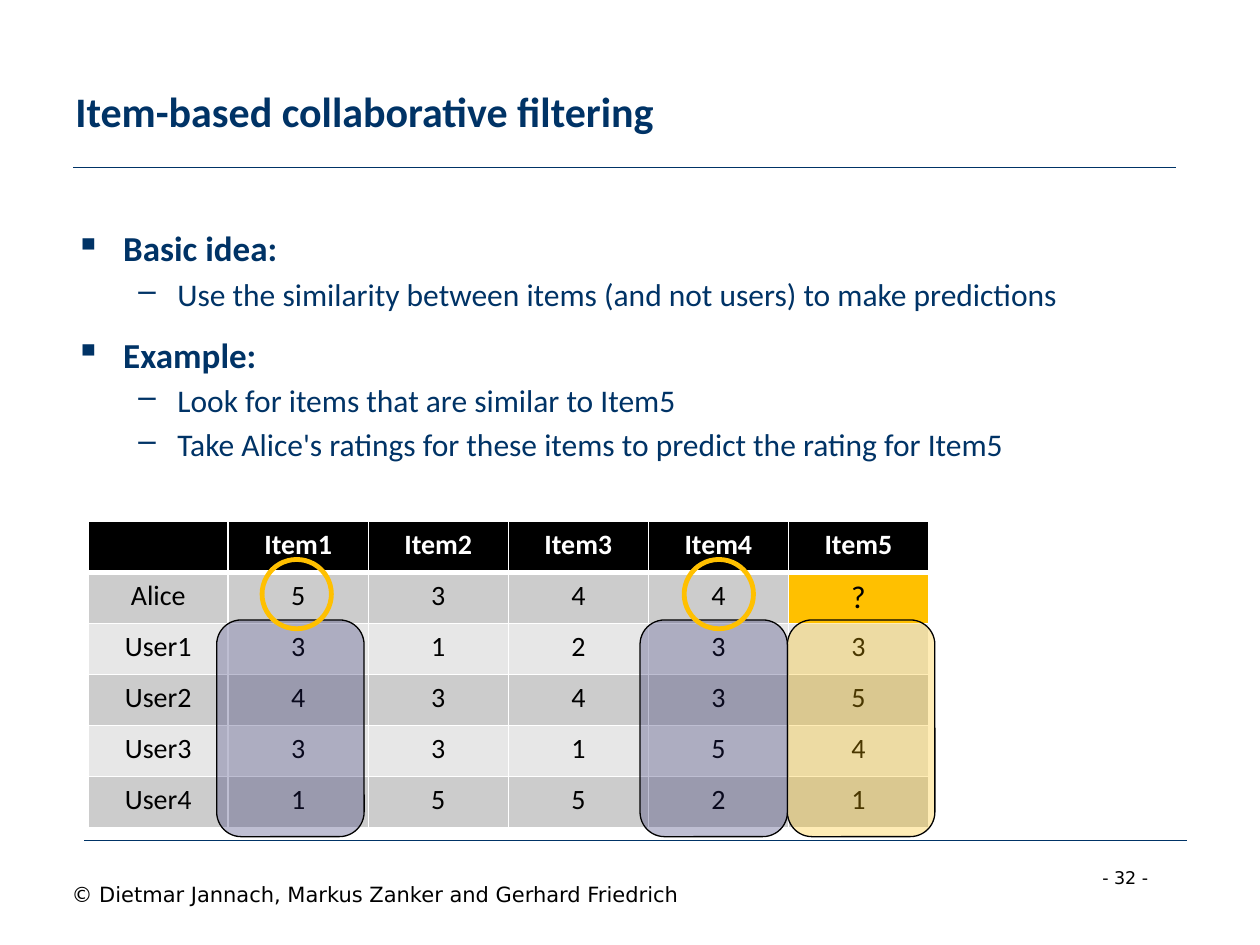
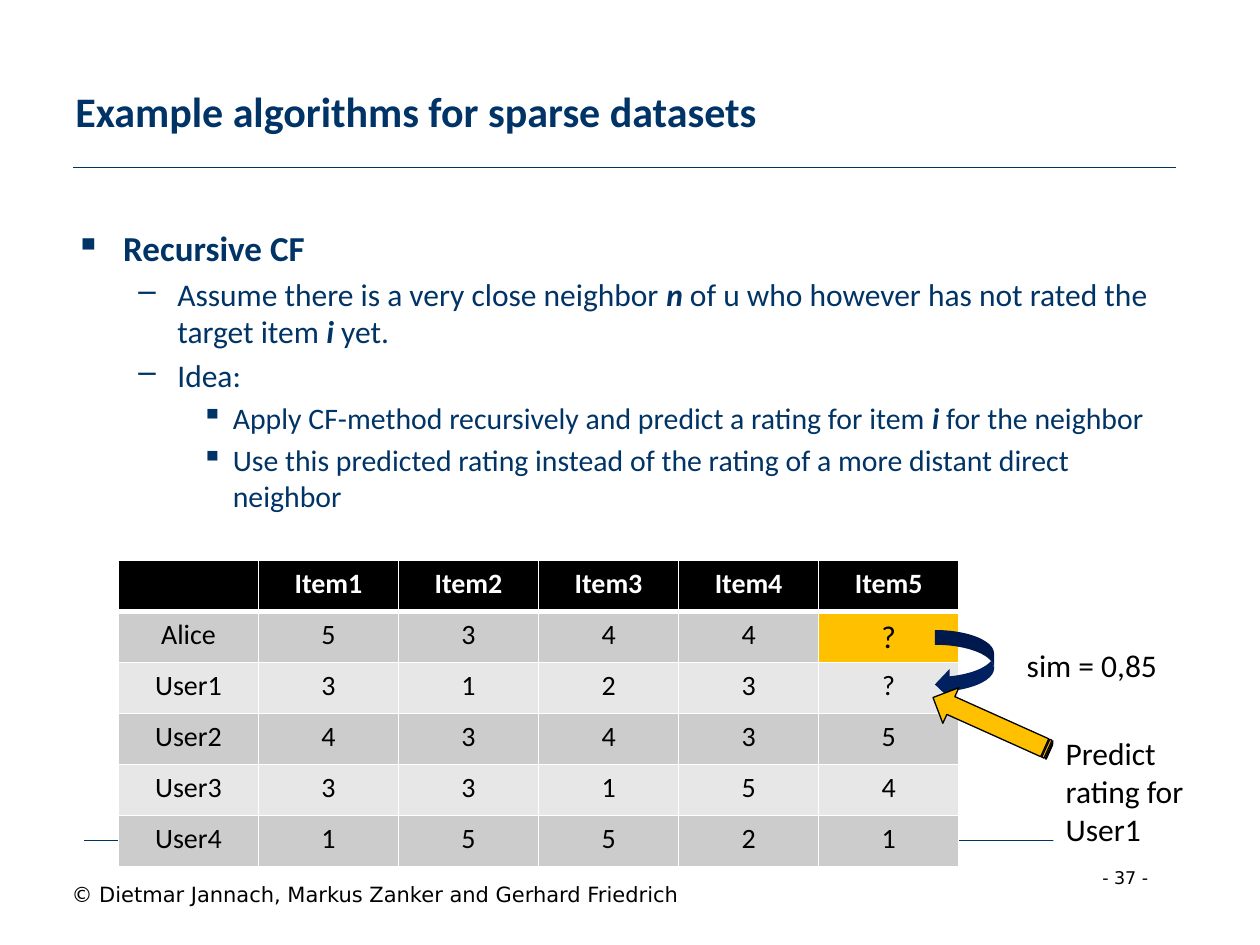
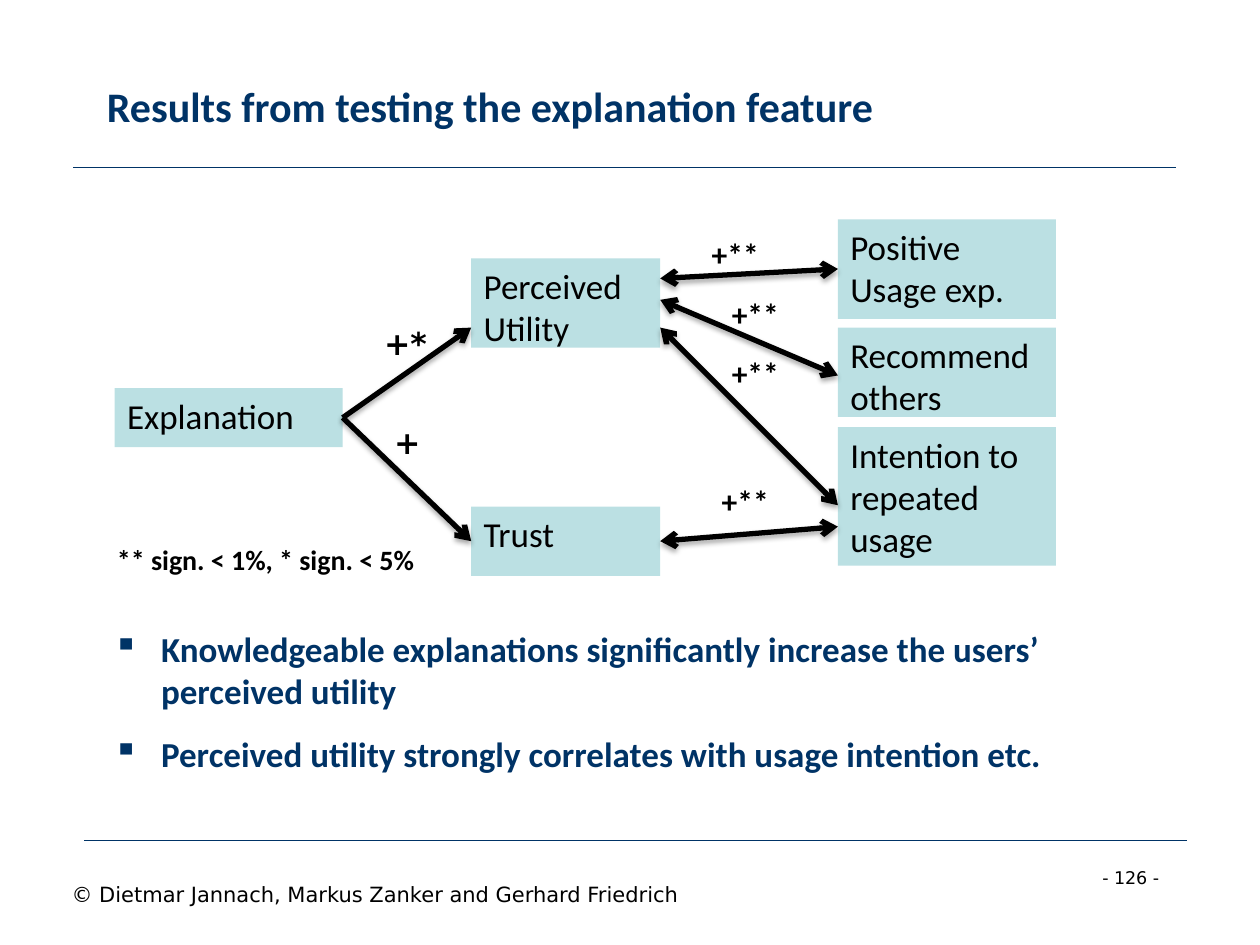
import dataclasses

import pptx
import pptx.dml.color
import pptx.enum.shapes
import pptx.enum.text
import pptx.oxml
import pptx.oxml.ns
import pptx.util

Inches = pptx.util.Inches
Pt = pptx.util.Pt
SHAPE = pptx.enum.shapes.MSO_SHAPE
ANCHOR = pptx.enum.text.MSO_ANCHOR
ALIGN = pptx.enum.text.PP_ALIGN
FIT = pptx.enum.text.MSO_AUTO_SIZE


@dataclasses.dataclass(frozen=True)
class Theme:
    """Colours, fonts and type sizes shared by all slides."""
    navy: str = "003366"
    black: str = "000000"
    white: str = "FFFFFF"
    gold: str = "FFC000"
    violet: str = "222267"
    arrow_blue: str = "002060"
    teal: str = "BBE0E3"
    row_dark: str = "CCCCCC"
    row_light: str = "E7E7E7"
    font: str = "Calibri"
    footer_font: str = "DejaVu Sans"
    title: int = 24
    node: int = 20
    label: int = 18
    cell: int = 16
    footer: int = 12
    page: int = 10


T = Theme()
LEVELS = [
    dict(size=20, bold=True, left=0.38, hang=0.38, before=12, bullet="▪"),
    dict(size=18, bold=False, left=0.81, hang=0.31, before=3.4, bullet="–"),
    dict(size=17, bold=False, left=1.25, hang=0.25, before=3.4, bullet="▪"),
]
CREDIT = "© Dietmar Jannach, Markus Zanker and Gerhard Friedrich"
RATINGS = [
    ["", "Item1", "Item2", "Item3", "Item4", "Item5"],
    ["Alice", "5", "3", "4", "4", "?"],
    ["User1", "3", "1", "2", "3", "3"],
    ["User2", "4", "3", "4", "3", "5"],
    ["User3", "3", "3", "1", "5", "4"],
    ["User4", "1", "5", "5", "2", "1"],
]


def rgb(color):
    """Turn a hex string into a colour."""
    return pptx.dml.color.RGBColor.from_string(color)


def xml(text):
    """Build a drawing element from markup without namespace declaration."""
    tag, rest = text[:-2].partition(" ")[::2] if text.endswith("/>") and text.count("<") == 1 else (None, None)
    if tag:
        return pptx.oxml.parse_xml(f"{tag} {pptx.oxml.ns.nsdecls('a')} {rest}/>")
    head, body = text.split(">", 1)
    return pptx.oxml.parse_xml(f"{head} {pptx.oxml.ns.nsdecls('a')}>{body}")


def assign(obj, values):
    """Set attributes from a dict of format values."""
    for name, value in values.items():
        setattr(obj, name, value)


def inches(box):
    """Convert a box in inches to lengths."""
    return [Inches(v) for v in box]


def shift(box, dx, dy):
    """Return the point at an offset from a box's corner."""
    return box[0] + dx, box[1] + dy


def add_run(p, text, size, color=T.black, font=T.font, **style):
    """Add one formatted run."""
    r = p.add_run()
    r.text = text
    assign(r.font, dict(name=font, size=Pt(size), **style))
    r.font.color.rgb = rgb(color)


def write(tf, text, size, align=ALIGN.LEFT, **style):
    """Fill a text frame with one paragraph per line."""
    for i, line in enumerate(text.split("\n")):
        p = tf.add_paragraph() if i else tf.paragraphs[0]
        p.alignment = align
        add_run(p, line, size, **style)


def add_text(s, box, text, size, frame=None, **style):
    """Add a text box; frame holds text frame settings."""
    tf = s.shapes.add_textbox(*inches(box)).text_frame
    assign(tf, dict(word_wrap=True) | (frame or {}))
    write(tf, text, size, **style)


def add_shape(s, kind, box, fill=None, line=None, width=0.75, alpha=None):
    """Add a preset shape with plain fill and outline."""
    sp = s.shapes.add_shape(kind, *inches(box))
    sp.shadow.inherit = False
    if fill:
        sp.fill.solid()
        sp.fill.fore_color.rgb = rgb(fill)
    else:
        sp.fill.background()
    if alpha:
        color = sp.fill._xPr.find(".//" + pptx.oxml.ns.qn("a:srgbClr"))
        color.append(xml(f'<a:alpha val="{alpha * 1000}"/>'))
    if line:
        sp.line.color.rgb = rgb(line)
        sp.line.width = Pt(width)
    else:
        sp.line.fill.background()
    return sp


def add_line(s, start, end, color, width):
    """Add a straight connector without shadow."""
    c = s.shapes.add_connector(pptx.enum.shapes.MSO_CONNECTOR.STRAIGHT, *inches((*start, *end)))
    c.line.color.rgb = rgb(color)
    c.line.width = Pt(width)
    c._element.spPr.append(xml("<a:effectLst />"))
    return c


def add_arrow(s, start, end, both, begin=None, finish=None):
    """Add a thick shadowed arrow, joined to the given boxes' sides."""
    c = add_line(s, start, end, T.black, 3)
    ln = c.line._get_or_add_ln()
    for tag in ["headEnd", "tailEnd"] if both else ["tailEnd"]:
        ln.append(xml(f'<a:{tag} type="arrow"/>'))
    c._element.spPr[-1].append(xml(
        '<a:outerShdw blurRad="39370" dist="22860" dir="5400000" rotWithShape="0">'
        '<a:srgbClr val="000000"><a:alpha val="35000"/></a:srgbClr></a:outerShdw>'))
    if begin:
        c.begin_connect(begin, 3)
    if finish:
        c.end_connect(finish, 1)


def add_frame(prs, title, page, title_box=(0.5, 0.25, 9, 1.25)):
    """Add a slide with rules, footer, page number and title."""
    s = prs.slides.add_slide(prs.slide_layouts[6])
    for x, y in [(0.58, 1.33), (0.67, 6.67)]:
        add_line(s, (x, y), (x + 8.75, y), T.navy, 0.75)
    add_text(s, (8.65, 6.83, 0.76, 0.27), f"- {page} -", T.page, font=T.footer_font,
             frame=dict(word_wrap=False, auto_size=FIT.SHAPE_TO_FIT_TEXT))
    add_text(s, (0.47, 6.95, 6.34, 0.3), CREDIT, T.footer, font=T.footer_font)
    add_text(s, title_box, title, T.title, color=T.navy, bold=True,
             frame=dict(vertical_anchor=ANCHOR.MIDDLE))
    return s


def add_bullets(s, box, items):
    """Add a bulleted list of (level, text); parts between bars are stressed."""
    tf = s.shapes.add_textbox(*inches(box)).text_frame
    tf.word_wrap = True
    for i, (level, text) in enumerate(items):
        p = tf.add_paragraph() if i else tf.paragraphs[0]
        v = LEVELS[level]
        pPr = p._p.get_or_add_pPr()
        pPr.set("marL", str(Inches(v["left"])))
        pPr.set("indent", str(-Inches(v["hang"])))
        pPr.append(xml(f'<a:buChar char="{v["bullet"]}"/>'))
        p.space_before = Pt(v["before"] if i else 0)
        for j, part in enumerate(text.split("|")):
            stress = j % 2 == 1
            add_run(p, part, v["size"], T.navy, bold=v["bold"] or stress, italic=stress)


def add_borders(cell, row):
    """Draw white cell borders, thick below the header row."""
    thick = {0: "B", 1: "T"}.get(row)
    for side in "LRTB":
        width = Pt(3 if side == thick else 1)
        cell._tc.get_or_add_tcPr().append(xml(
            f'<a:ln{side} w="{width}"><a:solidFill><a:srgbClr val="{T.white}"/>'
            f'</a:solidFill></a:ln{side}>'))


def add_ratings(s, box, rows):
    """Add the rating table with the wanted rating in gold."""
    table = s.shapes.add_table(len(rows), len(rows[0]), *inches(box)).table
    for col in table.columns:
        col.width = Inches(box[2] / len(rows[0]))
    for i, row in enumerate(rows):
        table.rows[i].height = Inches(box[3] / len(rows))
        for j, text in enumerate(row):
            cell = table.cell(i, j)
            wanted = (i, j) == (1, 5)
            add_borders(cell, i)
            fill = T.black if i == 0 else T.gold if wanted else T.row_dark if i % 2 else T.row_light
            cell.fill.solid()
            cell.fill.fore_color.rgb = rgb(fill)
            write(cell.text_frame, text, T.label if wanted else T.cell, ALIGN.CENTER,
                  color=T.black if i else T.white, bold=i == 0)


def mark_similar_items(s, box):
    """Mark the compared columns and Alice's ratings on the table at box."""
    for dx, color in [(5.55, T.gold), (1.02, T.violet), (4.38, T.violet)]:
        add_shape(s, SHAPE.ROUNDED_RECTANGLE, (*shift(box, dx, 0.78), 1.17, 1.72),
                  color, T.black, alpha=29)
    for dx in [1.38, 4.73]:
        add_shape(s, SHAPE.OVAL, (*shift(box, dx, 0.3), 0.55, 0.55), None, T.gold, 2.75)


def mark_prediction(s, box):
    """Annotate the neighbour's missing rating beside the table at box."""
    add_shape(s, SHAPE.CURVED_LEFT_ARROW, (*shift(box, 6.48, 0.55), 0.47, 0.55), T.arrow_blue)
    add_text(s, (*shift(box, 7.11, 0.63), 1.25, 0.4), "sim = 0,85", T.label,
             frame=dict(word_wrap=False, auto_size=FIT.SHAPE_TO_FIT_TEXT))
    arrow = add_shape(s, SHAPE.STRIPED_RIGHT_ARROW, (*shift(box, 6.42, 1.14), 1.02, 0.31),
                      T.gold, T.black)
    arrow.rotation = 204.2
    add_node(s, (*shift(box, 7.42, 1.33), 1.33, 1.01), "Predict rating for\nUser1",
             T.white, T.label)


def add_node(s, box, text, fill=T.teal, size=T.node):
    """Add a filled rectangle with text at its top left."""
    sp = add_shape(s, SHAPE.RECTANGLE, box, fill)
    assign(sp.text_frame, dict(word_wrap=True, vertical_anchor=ANCHOR.TOP))
    write(sp.text_frame, text, size)
    return sp


def add_effects(s, box):
    """Draw the diagram of explanation effects within box."""
    def at(dx, dy):
        return shift(box, dx, dy)

    explanation = add_node(s, (*at(0, 1.34), 1.81, 0.47), "Explanation")
    trust = add_node(s, (*at(2.83, 2.28), 1.5, 0.55), "Trust")
    add_node(s, (*at(2.83, 0.31), 1.5, 0.71), "Perceived\nUtility")
    positive, _, _ = [
        add_node(s, (*at(5.74, dy), 1.73, h), text) for dy, h, text in [
            (0, 0.79, "Positive\nUsage exp."),
            (0.86, 0.71, "Recommend others"),
            (1.65, 1.1, "Intention to repeated usage")]]
    for dy, finish in [(0.86, None), (2.56, trust)]:
        add_arrow(s, at(1.81, 1.57), at(2.83, dy), False, explanation, finish)
    for y1, y2, begin, finish in [(0.86, 2.27, None, None), (0.64, 1.24, None, None),
                                  (0.47, 0.39, None, positive), (2.56, 2.44, trust, None)]:
        add_arrow(s, at(4.33, y1), at(5.74, y2), True, begin, finish)
    for dx, dy in [(4.64, 0.08), (4.8, 0.55), (4.8, 1.02), (4.72, 2.04)]:
        add_text(s, (*at(dx, dy), 0.63, 0.4), "+**", T.label, bold=True)
    for dx, dy, w, text in [(2.04, 0.78, 0.63, "+*"), (2.12, 1.57, 0.39, "+")]:
        add_text(s, (*at(dx, dy), w, 0.4), text, T.label, font=T.footer_font, bold=True)
    add_text(s, (*at(-0.08, 2.52), 2.59, 0.37), "** sign. < 1%, * sign. < 5%", T.cell,
             bold=True, frame=dict(word_wrap=False, auto_size=FIT.SHAPE_TO_FIT_TEXT))


def main():
    """Build the three slides and save them."""
    prs = pptx.Presentation()
    assign(prs, dict(slide_width=Inches(10), slide_height=Inches(7.5)))
    body = (0.5, 1.75, 9, 4.95)

    s = add_frame(prs, "Item-based collaborative filtering", 32)
    add_bullets(s, body, [
        (0, "Basic idea:"),
        (1, "Use the similarity between items (and not users) to make predictions"),
        (0, "Example:"),
        (1, "Look for items that are similar to Item5"),
        (1, "Take Alice's ratings for these items to predict the rating for Item5")])
    box = (0.7, 4.14, 6.67, 2.43)
    add_ratings(s, box, RATINGS)
    mark_similar_items(s, box)

    s = add_frame(prs, "Example algorithms for sparse datasets", 37)
    add_bullets(s, body, [
        (0, "Recursive CF"),
        (1, "Assume there is a very close neighbor |n| of u who however has not rated "
            "the target item |i| yet."),
        (1, "Idea:"),
        (2, "Apply CF-method recursively and predict a rating for item |i| for the neighbor"),
        (2, "Use this predicted rating instead of the rating of a more distant direct neighbor")])
    box = (0.94, 4.45, 6.67, 2.43)
    sparse = [row[:-1] + ["?"] if row[0] == "User1" else row for row in RATINGS]
    add_ratings(s, box, sparse)
    mark_prediction(s, box)

    s = add_frame(prs, "Results from testing the explanation feature", 126,
                  (0.75, 0.21, 8.19, 1.25))
    add_bullets(s, (0.8, 4.93, 8.5, 1.42), [
        (0, "Knowledgeable explanations significantly increase the users’ perceived utility"),
        (0, "Perceived utility strongly correlates with usage intention etc.")])
    add_effects(s, (0.91, 1.74, 7.47, 2.83))

    prs.save("out.pptx")


if __name__ == "__main__":
    main()
